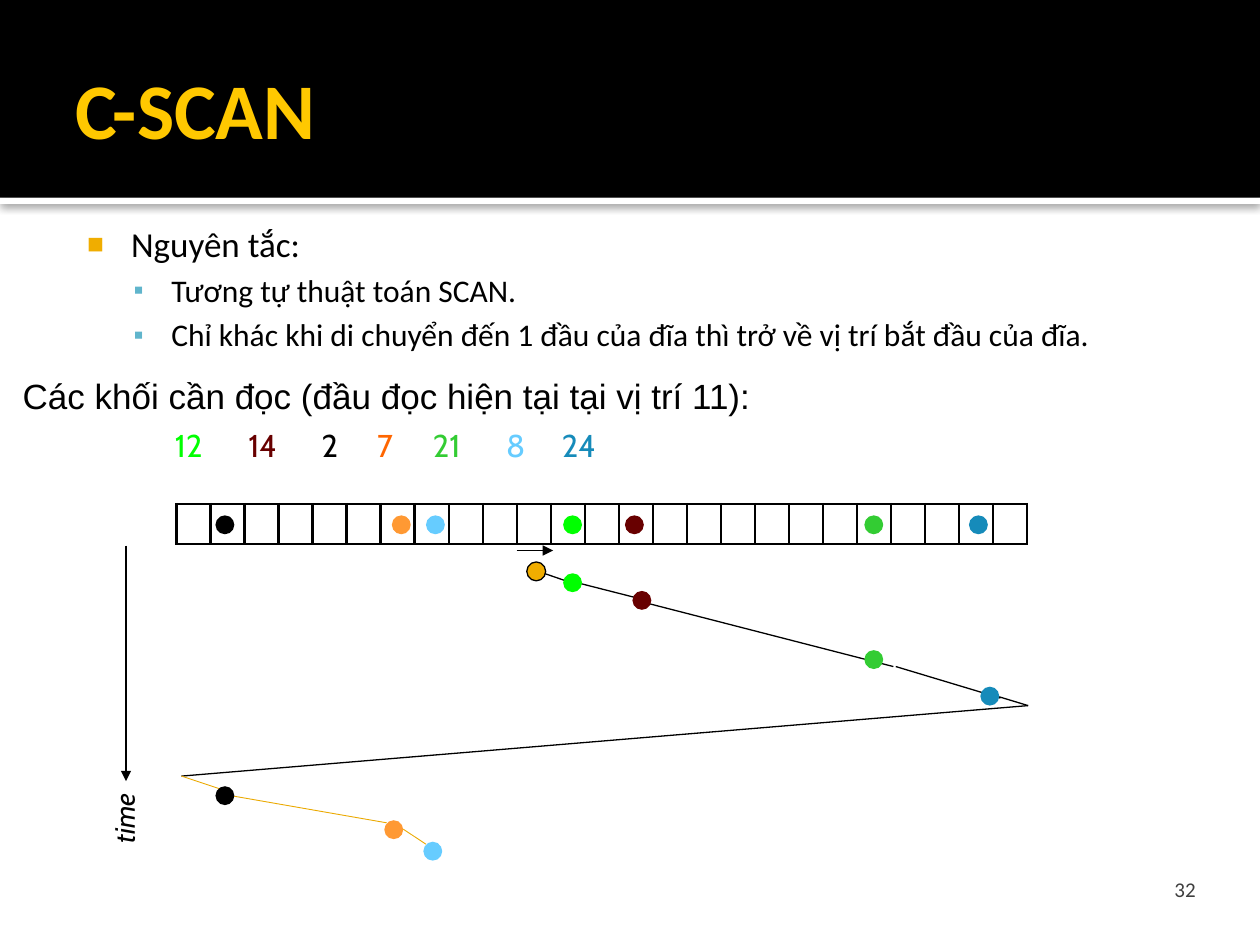
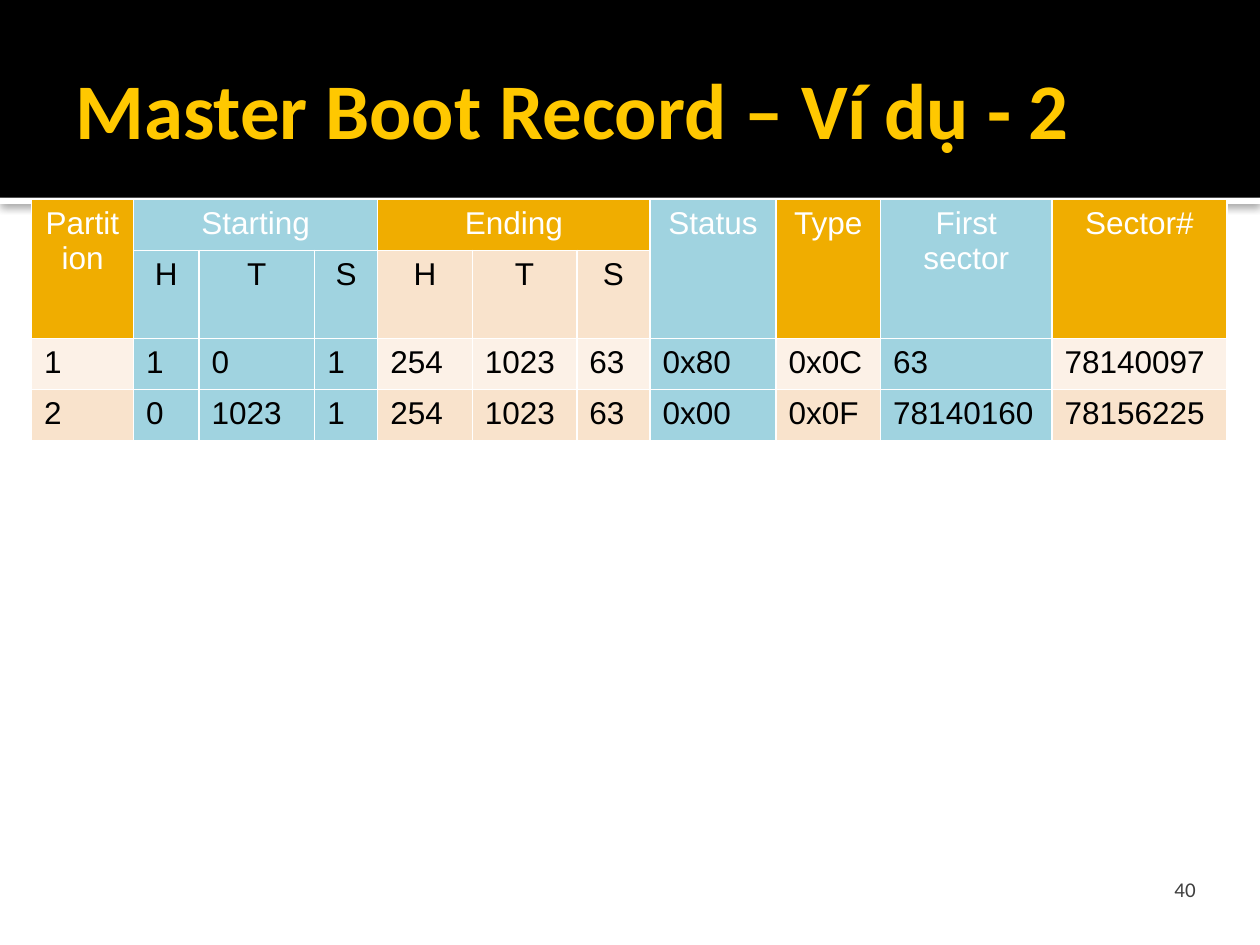
"""Build two slides: C-SCAN disk scheduling and a Master Boot Record table."""
from dataclasses import dataclass

from lxml.etree import SubElement
from pptx import Presentation
from pptx.dml.color import RGBColor
from pptx.enum.shapes import MSO_CONNECTOR, MSO_SHAPE
from pptx.enum.text import MSO_ANCHOR, MSO_AUTO_SIZE, PP_ALIGN
from pptx.oxml.ns import qn
from pptx.util import Pt


@dataclass
class Theme:
    black: str = "000000"
    white: str = "FFFFFF"
    title: str = "FFC800"
    gold: str = "F0AD00"
    amber: str = "EBA900"
    teal: str = "60B5CC"
    aqua: str = "A0D3E0"
    cream: str = "F9E3CC"
    pale: str = "FCF1E7"
    gray: str = "3F3F3F"
    lime: str = "00FF00"
    wine: str = "680000"
    ember: str = "FF6600"
    orange: str = "FF9933"
    leaf: str = "33CC33"
    sky: str = "66CCFF"
    blue: str = "168BBA"
    main: str = "Calibri"
    plain: str = "Arial"
    label: str = "Cabin"
    huge: int = 45
    large: int = 20
    mid: int = 18
    small: int = 16
    tiny: int = 12


theme = Theme()
rgb = RGBColor.from_string


def style(frame, font, size, color, align=PP_ALIGN.LEFT, bold=False):
    for par in frame.paragraphs:
        par.alignment = align
        for run in par.runs:
            run.font.name = font
            run.font.size = Pt(size)
            run.font.bold = bold
            run.font.color.rgb = rgb(color)


def border(cell, color, width):
    props = cell._tc.get_or_add_tcPr()
    for side in ("a:lnL", "a:lnR", "a:lnT", "a:lnB"):
        edge = SubElement(props, qn(side), w=str(Pt(width)))
        fill = SubElement(edge, qn("a:solidFill"))
        SubElement(fill, qn("a:srgbClr"), val=color)


prs = Presentation()
prs.slide_width, prs.slide_height = Pt(720), Pt(540)
scan = prs.slides.add_slide(prs.slide_layouts[1])
boot = prs.slides.add_slide(prs.slide_layouts[5])

bands = [(113, 3.6, theme.white), (0, 113, theme.black)]
for spot, (top, high, color) in enumerate(bands, 2):
    band = scan.shapes.add_shape(MSO_SHAPE.RECTANGLE, 0, Pt(top), Pt(720), Pt(high))
    band.fill.solid()
    band.fill.fore_color.rgb = rgb(color)
    band.line.fill.background()
    band.shadow.inherit = False
    if color == theme.white:
        effect = band.element.spPr.find(qn("a:effectLst"))
        shade = SubElement(effect, qn("a:outerShdw"), blurRad=str(Pt(5)),
                           dist=str(Pt(0.8)), dir="5400000", rotWithShape="0")
        tint = SubElement(shade, qn("a:srgbClr"), val=theme.black)
        SubElement(tint, qn("a:alpha"), val="60000")
    prs.slide_master.shapes.element.insert(spot, band.element)

heads = [(scan, "C-SCAN", "32"), (boot, "Master Boot Record – Ví dụ - 2", "40")]
for slide, text, number in heads:
    title = slide.shapes.title
    title.left, title.top, title.width, title.height = Pt(36), Pt(12.2), Pt(648), Pt(98.6)
    frame = title.text_frame
    frame.text = text
    frame.auto_size = MSO_AUTO_SIZE.NONE
    frame.vertical_anchor = MSO_ANCHOR.MIDDLE
    frame.margin_left, frame.margin_right = Pt(7.2), Pt(3.6)
    style(frame, theme.main, theme.huge, theme.title, bold=True)

    frame = slide.shapes.add_textbox(Pt(642.2), Pt(474.5), Pt(48.2), Pt(41)).text_frame
    frame.text = number
    frame.word_wrap = True
    frame.vertical_anchor = MSO_ANCHOR.BOTTOM
    frame.margin_bottom = 0
    style(frame, theme.main, theme.tiny, theme.gray, PP_ALIGN.RIGHT)

body = scan.placeholders[1]
body.left, body.top, body.width, body.height = Pt(36), Pt(120.2), Pt(648), Pt(364.3)
frame = body.text_frame
frame.text = "\n".join([
    "Nguyên tắc:",
    "Tương tự thuật toán SCAN.",
    "Chỉ khác khi di chuyển đến 1 đầu của đĩa thì trở về vị trí bắt đầu của đĩa.",
])
frame.auto_size = MSO_AUTO_SIZE.NONE
frame.margin_left, frame.margin_top = Pt(4.3), Pt(7.2)
style(frame, theme.main, theme.mid, theme.black)
frame.paragraphs[0].runs[0].font.size = Pt(theme.large)
levels = [(34.6, -25.2, 0, theme.gold, 80, "■"), (57.6, -21.6, 3.6, theme.teal, 90, "▪")]
for row, par in enumerate(frame.paragraphs):
    par.level = min(row, 1)
    left, hang, gap, color, size, mark = levels[par.level]
    par.space_before = Pt(gap)
    props = par._p.get_or_add_pPr()
    props.set("marL", str(Pt(left)))
    props.set("indent", str(Pt(hang)))
    SubElement(SubElement(props, qn("a:buClr")), qn("a:srgbClr"), val=color)
    SubElement(props, qn("a:buSzPct"), val=str(size * 1000))
    SubElement(props, qn("a:buFont"), typeface=theme.plain)
    SubElement(props, qn("a:buChar"), char=mark)

track = scan.shapes.add_table(1, 25, Pt(100.8), Pt(288), Pt(486.75), Pt(22.8)).table
track.first_row = track.horz_banding = False
for col in track.columns:
    col.width = Pt(19.47)
for cell in track.iter_cells():
    cell.margin_left = cell.margin_right = cell.margin_top = cell.margin_bottom = 0
    border(cell, theme.black, 1.5)
    cell.fill.background()

wires = [
    (295.2, 314.6, 316.1, 314.6, theme.black, 0.75, True),
    (306.7, 326.2, 327.6, 333.4, theme.black, 0.75, False),
    (328.3, 332.6, 367.9, 342.7, theme.black, 0.75, False),
    (367.9, 344.2, 510.5, 380.9, theme.black, 0.75, False),
    (511.9, 380.9, 571.7, 398.9, theme.black, 0.75, False),
    (571, 398.2, 587.5, 403.2, theme.black, 0.75, False),
    (587.5, 403.2, 103.7, 443.5, theme.black, 0.75, False),
    (103.7, 443.5, 125.3, 450.7, theme.amber, 0.5, False),
    (133.9, 455, 221, 470.2, theme.amber, 0.5, False),
    (230.4, 473.8, 243.4, 482.4, theme.amber, 0.5, False),
    (72, 311.8, 72, 446.4, theme.black, 0.75, True),
]
for *ends, color, width, arrow in wires:
    wire = scan.shapes.add_connector(MSO_CONNECTOR.STRAIGHT, *map(Pt, ends))
    wire.line.color.rgb = rgb(color)
    wire.line.width = Pt(width)
    props = wire.element.spPr
    if arrow:
        SubElement(props.find(qn("a:ln")), qn("a:tailEnd"), type="triangle")
    SubElement(props, qn("a:effectLst"))

blocks = [
    ("12", theme.lime, theme.lime, 321.8, 321.8, 327.6),
    ("14", theme.wine, theme.wine, 357.1, 361.4, 337.7),
    ("2", theme.black, theme.black, 123.1, 123.1, 449.3),
    ("7", theme.ember, theme.orange, 223.9, 219.6, 468.7),
    ("21", theme.leaf, theme.leaf, 493.9, 493.9, 371.5),
    ("8", theme.sky, theme.sky, 243.4, 241.9, 481),
    ("24", theme.blue, theme.blue, 553.7, 560.2, 392.4),
]
notes = [
    ("Các khối cần đọc (đầu đọc hiện tại tại vị trí 11):", 5.8, 210.2, 430.6, 31,
     theme.plain, theme.large, theme.black),
    ("time", 48.2, 452.9, 45.4, 26.6, theme.label, theme.small, theme.black),
]
dots = [(301, 321.1, theme.gold)]
left = 92.9
for text, ink, color, high, low, drop in blocks:
    width = 34.6 if len(text) == 2 else 24.5
    notes.append((text, left, 239.8, width, 28.8, theme.label, theme.mid, ink))
    dots += [(high, 294.5, color), (low, drop, color)]
    left += width + 7.3

for text, left, top, width, high, font, size, color in notes:
    box = scan.shapes.add_textbox(Pt(left), Pt(top), Pt(width), Pt(high))
    box.text_frame.text = text
    box.text_frame.word_wrap = False
    style(box.text_frame, font, size, color)
    if text == "time":
        box.rotation = 270
        box.text_frame.paragraphs[0].runs[0].font.italic = True

for left, top, color in dots:
    dot = scan.shapes.add_shape(MSO_SHAPE.OVAL, Pt(left), Pt(top), Pt(10.8), Pt(10.8))
    dot.shadow.inherit = False
    dot.fill.solid()
    dot.fill.fore_color.rgb = rgb(color)
    if color == theme.gold:
        dot.line.color.rgb = rgb(theme.black)
        dot.line.width = Pt(0.75)
    else:
        dot.line.fill.background()

rows = [
    ["Partition", "Starting", "", "", "Ending", "", "", "Status", "Type",
     "First sector", "Sector#"],
    ["", "H", "T", "S", "H", "T", "S", "", "", "", ""],
    ["1", "1", "0", "1", "254", "1023", "63", "0x80", "0x0C", "63", "78140097"],
    ["2", "0", "1023", "1", "254", "1023", "63", "0x00", "0x0F", "78140160", "78156225"],
]
widths = [58.3, 37.4, 66.2, 36, 54, 59.8, 41.8, 72, 59.8, 97.9, 100.1]
fills = [theme.gold, theme.cream, theme.pale, theme.cream]
cool = {1, 2, 3, 7, 9}
table = boot.shapes.add_table(4, 11, Pt(18), Pt(113.8), Pt(684), Pt(116.8)).table
table.first_row = table.horz_banding = False
for col, width in zip(table.columns, widths):
    col.width = Pt(width)
for r, row in enumerate(rows):
    for c, text in enumerate(row):
        cell = table.cell(r, c)
        cell.text = text
        border(cell, theme.white, 1)
        cell.fill.solid()
        cell.fill.fore_color.rgb = rgb(theme.aqua if c in cool else fills[r])
        style(cell.text_frame, theme.plain, theme.mid,
              theme.white if r == 0 else theme.black,
              PP_ALIGN.CENTER if r < 2 else PP_ALIGN.LEFT)
for c in (1, 4):
    table.cell(0, c).merge(table.cell(0, c + 2))
for c in (0, 7, 8, 9, 10):
    table.cell(0, c).merge(table.cell(1, c))

prs.save("out.pptx")
